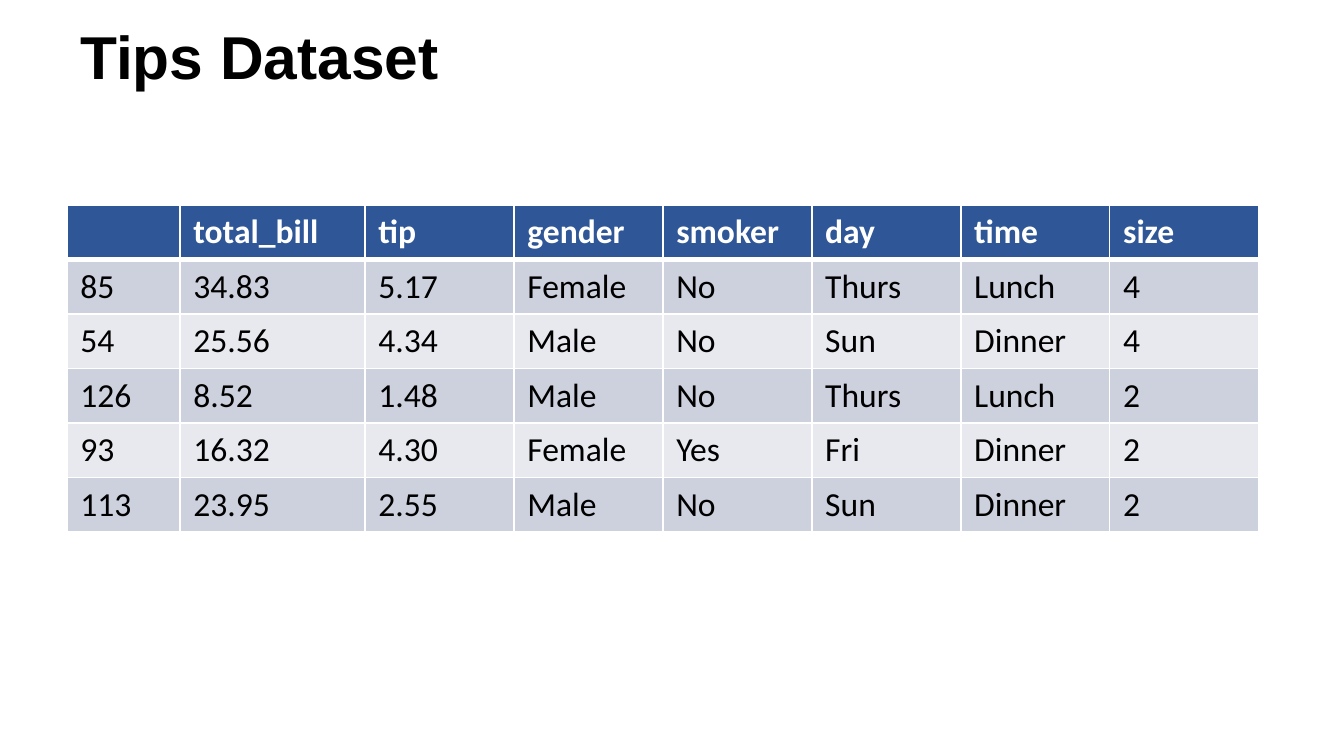
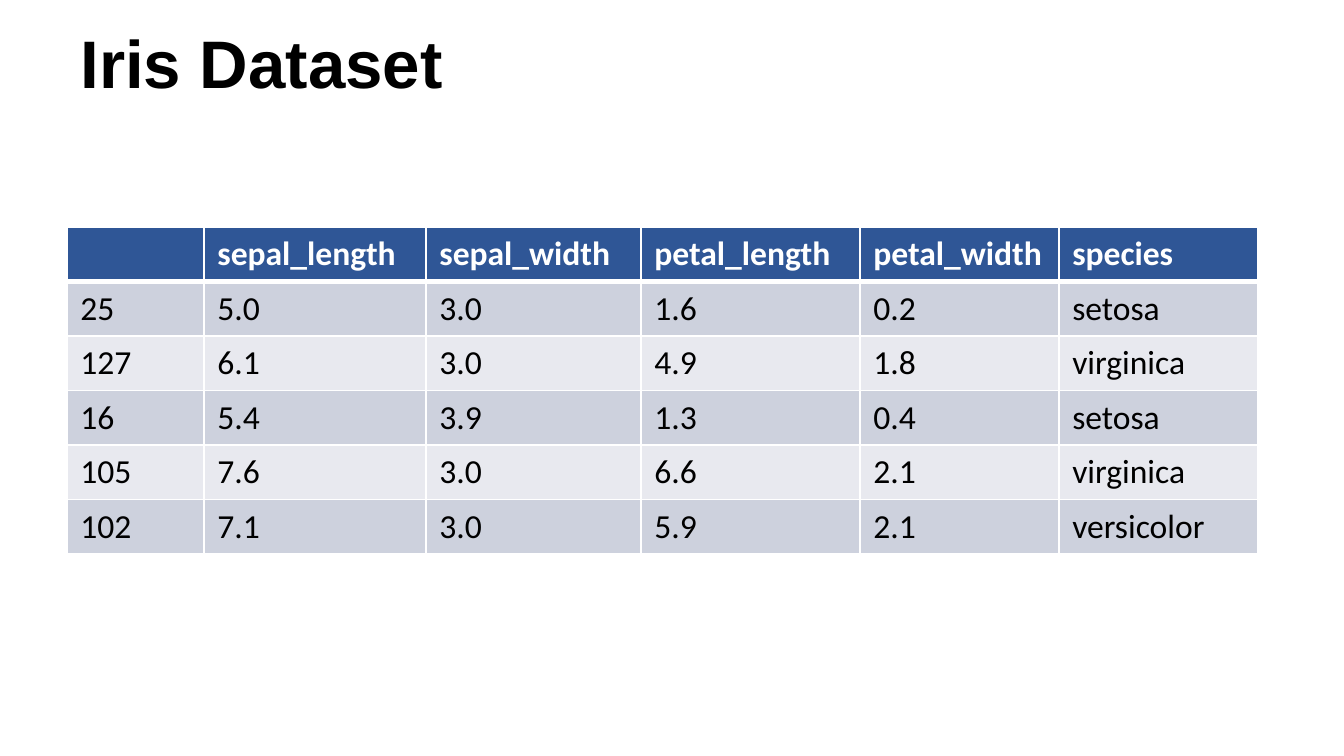
from dataclasses import dataclass

from lxml.etree import SubElement
from pptx import Presentation
from pptx.dml.color import RGBColor
from pptx.enum.text import MSO_ANCHOR, MSO_AUTO_SIZE, PP_ALIGN
from pptx.oxml.ns import qn
from pptx.util import Pt

DATASETS = [
    {
        "title": "Tips Dataset",
        "title_size": 32.4,
        "title_bottom_inset": 19,
        "table_top": 205,
        "column_widths": [113, 185] + [149] * 6,
        "header": ["", "total_bill", "tip", "gender", "smoker", "day", "time", "size"],
        "records": [
            ["85", "34.83", "5.17", "Female", "No", "Thurs", "Lunch", "4"],
            ["54", "25.56", "4.34", "Male", "No", "Sun", "Dinner", "4"],
            ["126", "8.52", "1.48", "Male", "No", "Thurs", "Lunch", "2"],
            ["93", "16.32", "4.30", "Female", "Yes", "Fri", "Dinner", "2"],
            ["113", "23.95", "2.55", "Male", "No", "Sun", "Dinner", "2"],
        ],
    },
    {
        "title": "Iris Dataset",
        "title_size": 36,
        "title_bottom_inset": 7,
        "table_top": 227,
        "column_widths": [137, 222, 215, 219, 199, 199],
        "header": ["", "sepal_length", "sepal_width", "petal_length", "petal_width", "species"],
        "records": [
            ["25", "5.0", "3.0", "1.6", "0.2", "setosa"],
            ["127", "6.1", "3.0", "4.9", "1.8", "virginica"],
            ["16", "5.4", "3.9", "1.3", "0.4", "setosa"],
            ["105", "7.6", "3.0", "6.6", "2.1", "virginica"],
            ["102", "7.1", "3.0", "5.9", "2.1", "versicolor"],
        ],
    },
]


@dataclass(frozen=True)
class Theme:
    title_font: str = "Arial"
    table_font: str = "Calibri"
    table_size: int = 18
    text: str = "000000"
    header_text: str = "FFFFFF"
    header_fill: str = "2F5696"
    band_fills: tuple = ("CDD1DD", "E8E9EF")
    rule: str = "FFFFFF"
    rule_width: int = 1
    header_rule_width: int = 3


THEME = Theme()
EMU_PER_PX = 914400 / 134.4
SLIDE_WIDTH, SLIDE_HEIGHT = 1344, 756
LEFT, CONTENT_WIDTH = 67, 1191
TITLE_TOP, TITLE_HEIGHT = 9, 105
TABLE_HEIGHT = 327
TITLE_ONLY_LAYOUT = 5


def px(length):
    return round(length * EMU_PER_PX)


def style_font(font, name, size, color, bold):
    font.name = name
    font.size = Pt(size)
    font.bold = bold
    font.color.rgb = RGBColor.from_string(color)


def add_title(slide, dataset):
    title = slide.shapes.title
    title.left, title.top = px(LEFT), px(TITLE_TOP)
    title.width, title.height = px(CONTENT_WIDTH), px(TITLE_HEIGHT)
    frame = title.text_frame
    frame.text = dataset["title"]
    frame.word_wrap = True
    frame.auto_size = MSO_AUTO_SIZE.NONE
    frame.vertical_anchor = MSO_ANCHOR.MIDDLE
    frame.margin_bottom = px(dataset["title_bottom_inset"])
    paragraph = frame.paragraphs[0]
    paragraph.alignment = PP_ALIGN.LEFT
    style_font(paragraph.runs[0].font, THEME.title_font, dataset["title_size"], THEME.text, True)


def rule_cell(cell, top_width, bottom_width):
    """Draw the four borders; they must precede the fill in the cell properties."""
    properties = cell._tc.get_or_add_tcPr()
    widths = {"L": THEME.rule_width, "R": THEME.rule_width, "T": top_width, "B": bottom_width}
    for side, width in widths.items():
        line = SubElement(properties, qn(f"a:ln{side}"), w=str(Pt(width)))
        fill = SubElement(line, qn("a:solidFill"))
        SubElement(fill, qn("a:srgbClr"), val=THEME.rule)


def fill_cell(cell, value, row):
    is_header = row == 0
    rule_cell(
        cell,
        THEME.header_rule_width if row == 1 else THEME.rule_width,
        THEME.header_rule_width if is_header else THEME.rule_width,
    )
    background = THEME.header_fill if is_header else THEME.band_fills[(row - 1) % 2]
    cell.fill.solid()
    cell.fill.fore_color.rgb = RGBColor.from_string(background)
    cell.text_frame.text = value
    color = THEME.header_text if is_header else THEME.text
    for run in cell.text_frame.paragraphs[0].runs:
        style_font(run.font, THEME.table_font, THEME.table_size, color, is_header)


def add_dataset_table(slide, dataset):
    rows = [dataset["header"], *dataset["records"]]
    widths = dataset["column_widths"]
    table = slide.shapes.add_table(
        len(rows), len(widths),
        px(LEFT), px(dataset["table_top"]), px(sum(widths)), px(TABLE_HEIGHT),
    ).table
    for column, width in zip(table.columns, widths):
        column.width = px(width)
    for row, values in enumerate(rows):
        table.rows[row].height = px(TABLE_HEIGHT / len(rows))
        for column, value in enumerate(values):
            fill_cell(table.cell(row, column), value, row)


def main():
    presentation = Presentation()
    presentation.slide_width = px(SLIDE_WIDTH)
    presentation.slide_height = px(SLIDE_HEIGHT)
    for dataset in DATASETS:
        slide = presentation.slides.add_slide(presentation.slide_layouts[TITLE_ONLY_LAYOUT])
        add_title(slide, dataset)
        add_dataset_table(slide, dataset)
    presentation.save("out.pptx")


if __name__ == "__main__":
    main()
